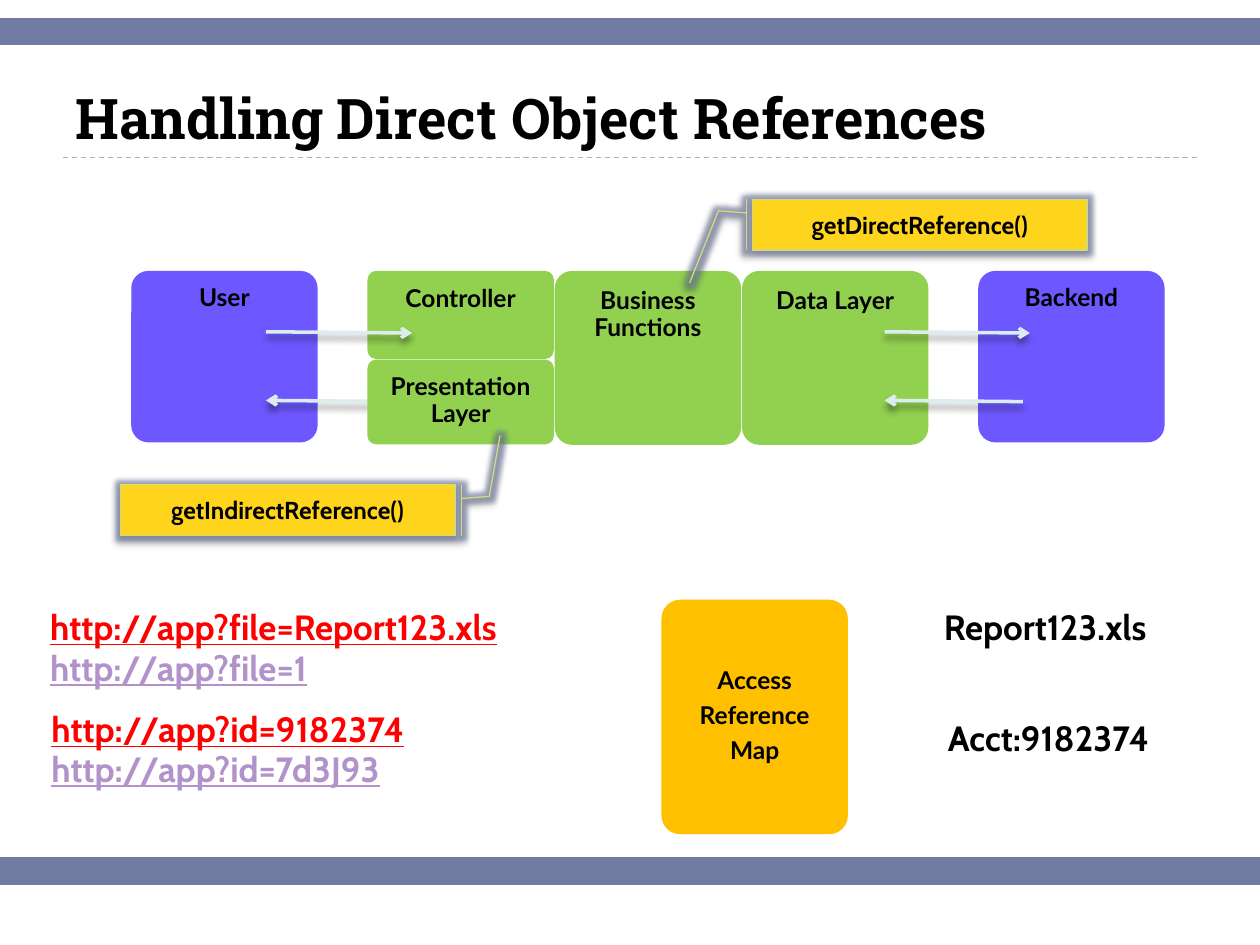
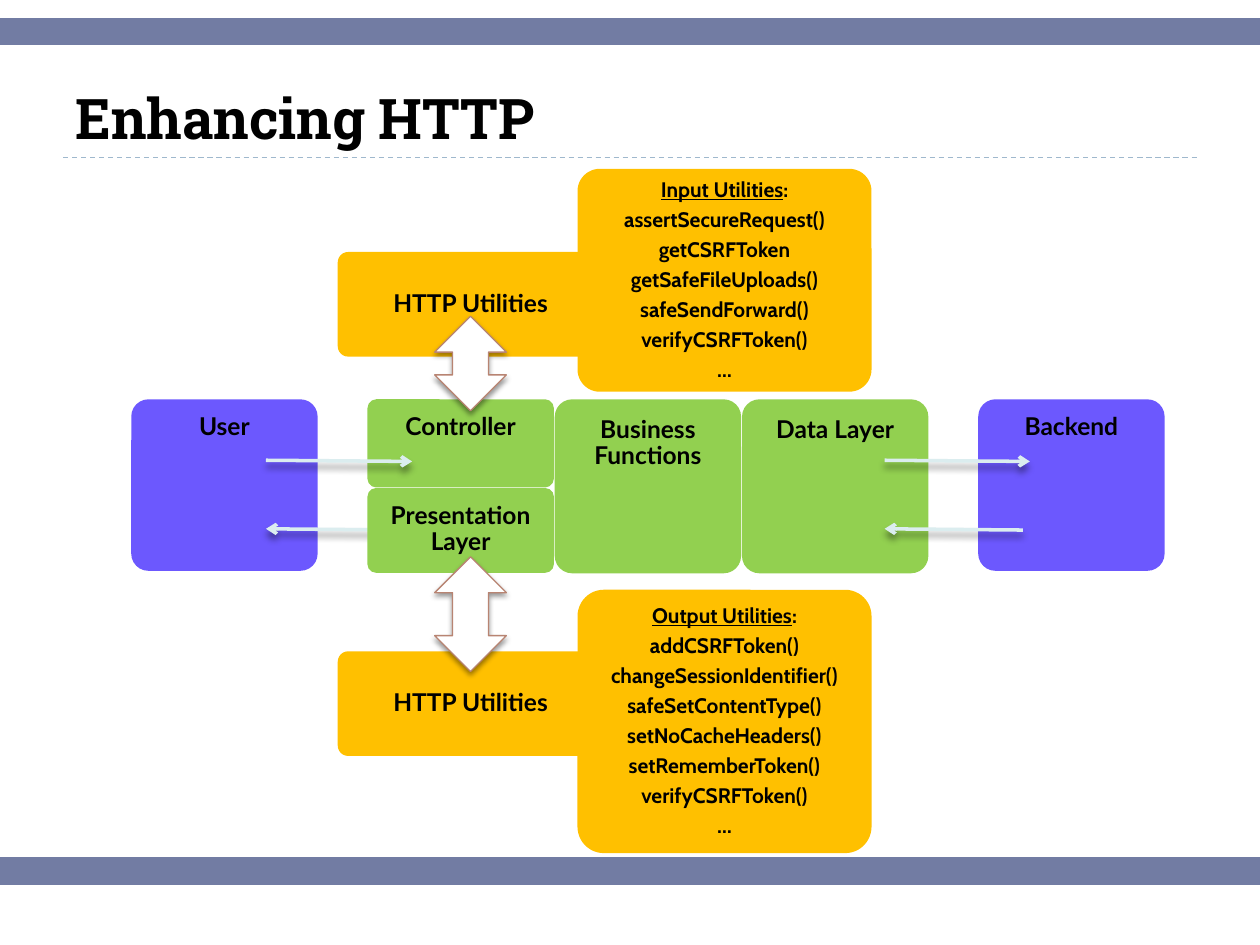
from dataclasses import dataclass
from typing import NamedTuple

from lxml import etree
from pptx import Presentation
from pptx.dml.color import RGBColor
from pptx.enum.dml import MSO_LINE
from pptx.enum.shapes import MSO_CONNECTOR, MSO_SHAPE
from pptx.enum.text import MSO_ANCHOR, PP_ALIGN
from pptx.oxml.ns import qn
from pptx.util import Pt

ROUNDED = MSO_SHAPE.ROUNDED_RECTANGLE
CALLOUT = MSO_SHAPE.LINE_CALLOUT_2_BORDER_AND_ACCENT_BAR
UP_DOWN = MSO_SHAPE.UP_DOWN_ARROW
STRAIGHT = MSO_CONNECTOR.STRAIGHT
DASH = MSO_LINE.DASH
TOP, MIDDLE, BOTTOM = MSO_ANCHOR.TOP, MSO_ANCHOR.MIDDLE, MSO_ANCHOR.BOTTOM
LEFT, CENTER = PP_ALIGN.LEFT, PP_ALIGN.CENTER

COLORS = {
    "text": "000000",
    "band": "727CA3",
    "rule": "9FB8CD",
    "outer": "6C58FE",
    "tier": "92D050",
    "utility": "FFC000",
    "callout": "FFD41D",
    "callout_line": "D2DA7A",
    "flow": "DBEDEF",
    "exchange": "FFFFFF",
    "exchange_line": "B88472",
    "direct": "FF0000",
    "indirect": "B292CA",
}


class Run(NamedTuple):
    text: str
    underline: bool = False


class Style(NamedTuple):
    font: str
    size: float
    color: str = "text"
    align: PP_ALIGN = CENTER
    spaced: bool = False


class Shadow(NamedTuple):
    alpha: int
    blur: float
    dist: float
    glow: float = 0


@dataclass(frozen=True)
class Box:
    x: float
    y: float
    w: float
    h: float
    fill: str
    paragraphs: tuple = ()
    style: Style = Style("Lato", 14)
    anchor: MSO_ANCHOR = TOP
    inset: float = 3.6


@dataclass(frozen=True)
class Flow:
    x1: float
    x2: float
    dy: float
    end: str


@dataclass(frozen=True)
class Callout:
    x: float
    y: float
    text: str
    target: tuple
    flipped: bool = False


@dataclass(frozen=True)
class Note:
    x: float
    y: float
    w: float
    text: str
    color: str = "text"
    underline: bool = False


TITLE = Style("Roboto Slab", 32, align=LEFT)
OUTER = Style("Lato", 14)
TIER = Style("Lato", 14, spaced=True)
METHODS = Style("Cabin", 12, spaced=True)
CALL = Style("Cabin", 14)

FLOW_SHADOW = Shadow(40, 4, 3.4)
EXCHANGE_SHADOW = Shadow(40, 3, 2)
CALLOUT_SHADOW = Shadow(38, 3.1, 1.6, glow=5)

BOX_W = 106.5
PITCH = 107
TIER_X = 210


def lines(*texts: str) -> tuple:
    return tuple((Run(t),) for t in texts)


def methods(heading: str, *names: str) -> tuple:
    return ((Run(heading, True), Run(":")), *lines(*names, "…"))


def tier(column: int, dy: float, h: float, *runs: str) -> Box:
    return Box(TIER_X + column * PITCH, dy, BOX_W, h, "tier",
               (tuple(Run(t) for t in runs),), TIER, TOP, 7.2)


def utility(x: float, y: float, w: float, h: float, paragraphs: tuple,
            style: Style = TIER) -> Box:
    return Box(x, y, w, h, "utility", paragraphs, style, MIDDLE, 0)


SYSTEM = [
    Box(559, 0, BOX_W, 98, "outer", lines("Backend"), OUTER),
    tier(0, 0, 50.4, "Controller"),
    tier(1, 0, 99.4, "Business Functions"),
    Box(75, 0, BOX_W, 98, "outer", lines("User"), OUTER),
    tier(2, 0, 99.4, "Data Layer"),
    Flow(152, 235.5, 34.8, "tailEnd"),
    Flow(152, 231, 74, "headEnd"),
    Flow(505.5, 588.5, 34.8, "tailEnd"),
    Flow(505.5, 584.5, 74, "headEnd"),
    tier(0, 50.7, 48.4, "Presentation", "\n", "Layer"),
]

NOTES = [
    Note(21.6, 365.8, 204, "http://app?file=1", "indirect", True),
    Note(532.2, 342.7, 157, "Report123.xls"),
    Note(22.3, 423.4, 246, "http://app?id=7d3J93", "indirect", True),
    Note(534.6, 406.1, 156, "Acct:9182374"),
    Note(22.3, 401, 268, "http://app?id=9182374", "direct", True),
    Note(21.6, 342.7, 339, "http://app?file=Report123.xls", "direct", True),
]

CALLOUTS = [
    Callout(69, 277, "getIndirectReference()", (-0.967, -0.135), True),
    Callout(430.2, 113.8, "getDirectReference()", (1.649, -0.189)),
]

HTTP_UTILITIES = [
    utility(193, y, 152, 59.8, lines("HTTP Utilities")) for y in (372.2, 144)
]

EXCHANGES = [(180.7, 54), (318.2, 65.5)]

METHOD_LISTS = [
    utility(330, 96.5, 168, 127.4, methods(
        "Input Utilities", "assertSecureRequest()", "getCSRFToken",
        "getSafeFileUploads()", "safeSendForward()", "verifyCSRFToken()"),
        METHODS),
    utility(330, 337, 168, 150.5, methods(
        "Output Utilities", "addCSRFToken()", "changeSessionIdentifier()",
        "safeSetContentType()", "setNoCacheHeaders()", "setRememberToken()",
        "verifyCSRFToken()"), METHODS),
]


def rgb(name: str) -> RGBColor:
    return RGBColor.from_string(COLORS[name])


def write(tf, paragraphs: tuple, style: Style, anchor: MSO_ANCHOR) -> None:
    tf.word_wrap = True
    tf.vertical_anchor = anchor
    for i, runs in enumerate(paragraphs):
        p = tf.add_paragraph() if i else tf.paragraphs[0]
        p.alignment = style.align
        if style.spaced:
            p.line_spacing = 0.9
            p.space_after = Pt(round(0.35 * style.size, 2))
        for run in runs:
            if run.text == "\n":
                p.add_line_break()
                continue
            r = p.add_run()
            r.text = run.text
            r.font.name = style.font
            r.font.size = Pt(style.size)
            r.font.bold = True
            r.font.underline = run.underline
            r.font.color.rgb = rgb(style.color)


def add_color(parent, color: str, alpha: int) -> None:
    clr = etree.SubElement(parent, qn("a:srgbClr"), val=COLORS[color])
    etree.SubElement(clr, qn("a:alpha"), val=str(alpha * 1000))


def set_effects(s, shadow: Shadow | None = None) -> None:
    effects = etree.SubElement(s._element.spPr, qn("a:effectLst"))
    if shadow is None:
        return
    if shadow.glow:
        glow = etree.SubElement(effects, qn("a:glow"), rad=str(Pt(shadow.glow)))
        add_color(glow, "band", 60)
    outer = etree.SubElement(
        effects, qn("a:outerShdw"), blurRad=str(Pt(shadow.blur)),
        dist=str(Pt(shadow.dist)), dir="5400000", rotWithShape="0")
    add_color(outer, "text", shadow.alpha)


def add_line(slide, x1: float, y1: float, x2: float, y2: float, color: str,
             width: float):
    s = slide.shapes.add_connector(STRAIGHT, Pt(x1), Pt(y1), Pt(x2), Pt(y2))
    s.line.color.rgb = rgb(color)
    s.line.width = Pt(width)
    return s


def add_flow(slide, flow: Flow, top: float) -> None:
    y = top + flow.dy
    s = add_line(slide, flow.x1, y, flow.x2, y + 0.7, "flow", 2)
    etree.SubElement(s._element.spPr.find(qn("a:ln")), qn("a:" + flow.end),
                     type="arrow")
    set_effects(s, FLOW_SHADOW)


def add_box(slide, box: Box, top: float = 0) -> None:
    s = slide.shapes.add_shape(ROUNDED, Pt(box.x), Pt(top + box.y),
                               Pt(box.w), Pt(box.h))
    s.adjustments[0] = 0.1
    s.fill.solid()
    s.fill.fore_color.rgb = rgb(box.fill)
    s.line.fill.background()
    s.shadow.inherit = False
    tf = s.text_frame
    tf.margin_top = tf.margin_bottom = Pt(box.inset)
    write(tf, box.paragraphs, box.style, box.anchor)


def add_outlined(slide, kind: MSO_SHAPE, x: float, y: float, w: float,
                 h: float, color: str, shadow: Shadow):
    s = slide.shapes.add_shape(kind, Pt(x), Pt(y), Pt(w), Pt(h))
    s.fill.solid()
    s.fill.fore_color.rgb = rgb(color)
    s.line.color.rgb = rgb(color + "_line")
    s.line.width = Pt(0.75)
    set_effects(s, shadow)
    return s


def add_callout(slide, c: Callout) -> None:
    s = add_outlined(slide, CALLOUT, c.x, c.y, 191, 29, "callout",
                     CALLOUT_SHADOW)
    for i, value in enumerate((0.271, -0.02, 0.229, -0.103, *c.target)):
        s.adjustments[i] = value
    if c.flipped:
        s._element.spPr.find(qn("a:xfrm")).set("flipH", "1")
    write(s.text_frame, lines(c.text), CALL, MIDDLE)


def add_note(slide, note: Note) -> None:
    s = slide.shapes.add_textbox(Pt(note.x), Pt(note.y), Pt(note.w), Pt(31.5))
    write(s.text_frame, ((Run(note.text, note.underline),),),
          Style("Cabin", 20, note.color, LEFT), TOP)


def add_system(slide, top: float) -> None:
    for part in SYSTEM:
        draw = add_flow if isinstance(part, Flow) else add_box
        draw(slide, part, top)


def new_slide(prs, title: str):
    slide = prs.slides.add_slide(prs.slide_layouts[5])
    rule = add_line(slide, 36, 90, 684, 90, "rule", 0.75)
    rule.line.dash_style = DASH
    set_effects(rule)
    for y in (18, 498):
        set_effects(add_line(slide, 0, y, 720, y, "band", 16))
    s = slide.shapes.title
    s.left, s.top, s.width, s.height = Pt(36), Pt(18), Pt(648), Pt(72)
    write(s.text_frame, lines(title), TITLE, BOTTOM)
    return slide


def build_references(prs) -> None:
    slide = new_slide(prs, "Handling Direct Object References")
    for note in NOTES:
        add_note(slide, note)
    add_system(slide, 154.8)
    add_box(slide, utility(378, 342.7, BOX_W, 134,
                           lines("Access", "Reference", "Map")))
    for callout in CALLOUTS:
        add_callout(slide, callout)


def build_http(prs) -> None:
    slide = new_slide(prs, "Enhancing HTTP")
    add_system(slide, 228.2)
    for box in HTTP_UTILITIES:
        add_box(slide, box)
    for y, h in EXCHANGES:
        add_outlined(slide, UP_DOWN, 248.4, y, 41, h, "exchange",
                     EXCHANGE_SHADOW)
    for box in METHOD_LISTS:
        add_box(slide, box)


prs = Presentation()
prs.slide_width, prs.slide_height = Pt(720), Pt(540)
build_references(prs)
build_http(prs)
prs.save("out.pptx")
